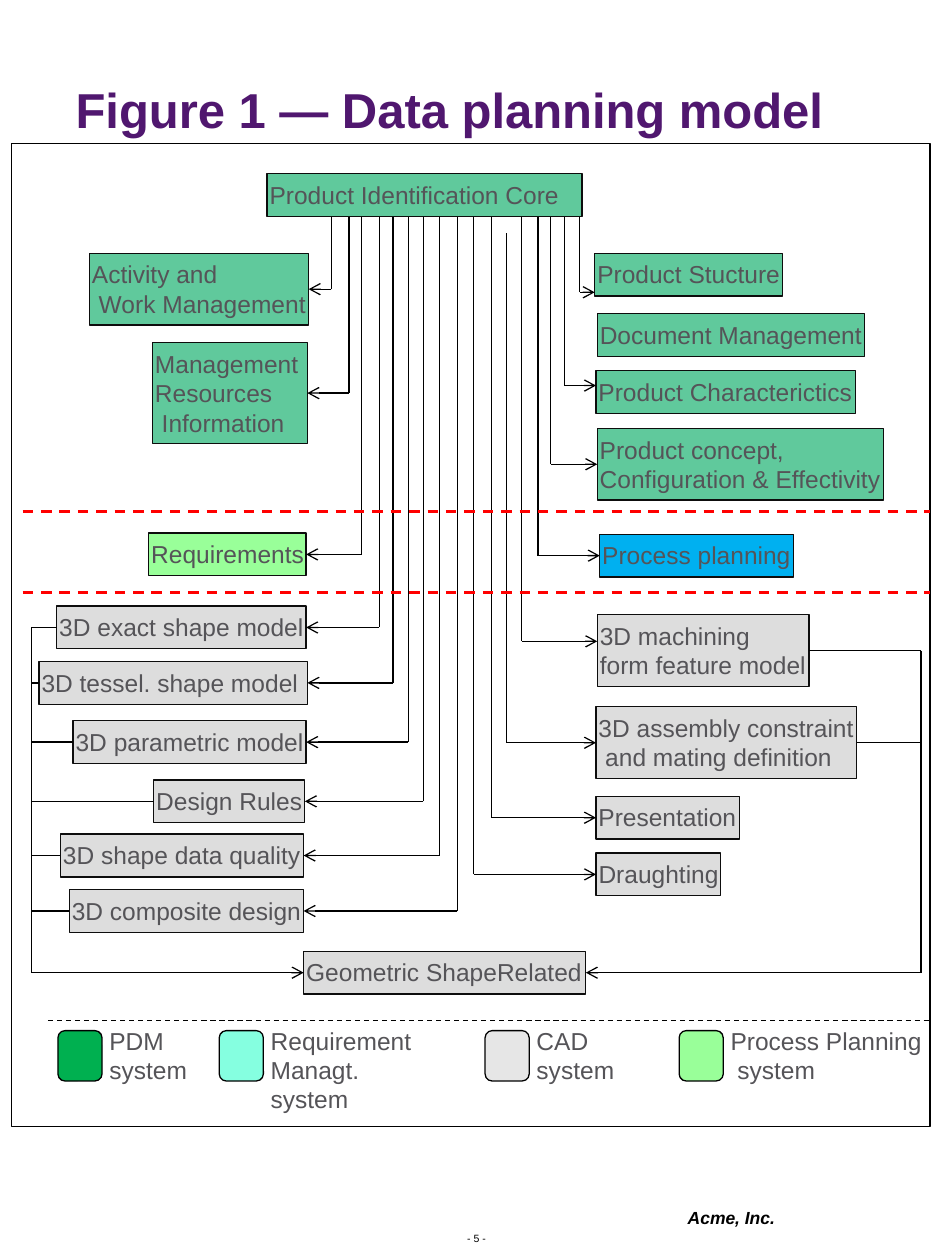
from lxml.etree import SubElement
from pptx import Presentation
from pptx.dml.color import RGBColor
from pptx.enum.dml import MSO_LINE
from pptx.enum.shapes import MSO_CONNECTOR, MSO_SHAPE
from pptx.enum.text import MSO_ANCHOR, MSO_AUTO_SIZE, PP_ALIGN
from pptx.oxml.ns import qn
from pptx.util import Inches, Pt

THEME = {
    "font": "Arial", "title": "50176F", "text": "555458", "black": "000000",
    "border": "0D0D0D", "white": "FFFFFF", "divider": "FF0000",
    "pdm": "60C99C", "requirement": "99FF99", "cad": "DDDDDD", "process": "00B0F0",
    "title_size": 28, "body_size": 14, "footer_size": 10, "number_size": 6,
    "thin": 0.75, "thick": 1.5,
}
LINE_HEIGHTS = {1: 0.34, 2: 0.57, 3: 0.8}
LEFT, RIGHT = 1, 3  # connection sites of a rectangle

TITLE = "Figure 1 — Data planning model"
FRAME = (0.09, 1.14, 7.29, 7.8)

# name: (text, colour, left, top, width)
BOXES = {
    "core": ("Product Identification Core", "pdm", 2.12, 1.38, 2.5),
    "activity": ("Activity and\n Work Management", "pdm", 0.71, 2.01, 1.74),
    "resources": ("Management \nResources\n Information", "pdm", 1.21, 2.72, 1.23),
    "requirements": ("Requirements", "requirement", 1.18, 4.23, 1.25),
    "exact": ("3D exact shape model", "cad", 0.45, 4.81, 1.98),
    "tessellated": ("3D tessel. shape model", "cad", 0.31, 5.25, 2.13),
    "parametric": ("3D parametric model", "cad", 0.58, 5.72, 1.85),
    "rules": ("Design Rules", "cad", 1.22, 6.19, 1.2),
    "quality": ("3D shape data quality", "cad", 0.48, 6.62, 1.93),
    "composite": ("3D composite design", "cad", 0.55, 7.06, 1.86),
    "structure": ("Product Stucture", "pdm", 4.72, 2.01, 1.49),
    "document": ("Document Management", "pdm", 4.74, 2.49, 2.12),
    "characteristics": ("Product Characterictics", "pdm", 4.73, 2.94, 2.06),
    "concept": ("Product concept, \nConfiguration & Effectivity", "pdm", 4.74, 3.4, 2.27),
    "process": ("Process planning", "process", 4.76, 4.24, 1.54),
    "machining": ("3D machining \nform feature model", "cad", 4.74, 4.88, 1.68),
    "assembly": ("3D assembly constraint\n and mating definition", "cad", 4.73, 5.61, 2.07),
    "presentation": ("Presentation", "cad", 4.73, 6.32, 1.14),
    "draughting": ("Draughting", "cad", 4.73, 6.77, 0.99),
    "geometric": ("Geometric ShapeRelated", "cad", 2.41, 7.55, 2.24),
}
WRAPPED = {"tessellated"}

# Where each branch leaves the core, by side of the target it enters
BRANCHES = {
    RIGHT: {"activity": 2.63, "resources": 2.77, "requirements": 2.87, "exact": 3.01,
            "tessellated": 3.12, "parametric": 3.24, "rules": 3.36, "quality": 3.49,
            "composite": 3.63},
    LEFT: {"structure": 4.6, "characteristics": 4.48, "concept": 4.37, "process": 4.27,
           "machining": 4.14, "assembly": 4.02, "presentation": 3.9, "draughting": 3.76},
}
OFF_MIDDLE = {"structure": 2.32, "characteristics": 3.06, "machining": 5.09}
LATE_START = {"assembly": 1.85}

# Rails gather the geometric models: (x, side the rail touches, members)
RAILS = [
    (0.25, LEFT, ["exact", "tessellated", "parametric", "rules", "quality", "composite"]),
    (7.31, RIGHT, ["machining", "assembly"]),
]
# (left, right, y, colour, width)
DIVIDERS = [
    (0.18, 7.38, 4.06, "divider", "thick"),
    (0.18, 7.38, 4.7, "divider", "thick"),
    (0.38, 7.38, 8.1, "black", "thin"),
]
# (left, colour, text)
LEGEND = [
    (0.46, "00B050", "PDM\nsystem"),
    (1.74, "85FFE0", "Requirement\nManagt. system"),
    (3.85, "E6E6E6", "CAD \nsystem"),
    (5.39, "99FF99", "Process Planning \n system"),
]

presentation = Presentation()
presentation.slide_width, presentation.slide_height = Inches(7.5), Inches(10)
slide = presentation.slides.add_slide(presentation.slide_layouts[5])


def colour(name):
    return RGBColor.from_string(THEME.get(name, name))


def write(shape, text, size="body_size", color="text", bold=False, italic=False,
          inset=0.1, wrap=False):
    frame = shape.text_frame
    frame.auto_size = MSO_AUTO_SIZE.NONE
    frame.word_wrap = wrap
    frame.vertical_anchor = MSO_ANCHOR.TOP
    frame.margin_left = frame.margin_right = Inches(inset)
    frame.margin_top = frame.margin_bottom = Inches(0.05)
    paragraph = frame.paragraphs[0]
    paragraph.text = text.replace("\n", "\v")
    paragraph.alignment = PP_ALIGN.LEFT
    for run in paragraph.runs:
        run.font.name, run.font.size = THEME["font"], Pt(THEME[size])
        run.font.bold, run.font.italic = bold, italic
        run.font.color.rgb = colour(color)


def add_text(text, left, top, width, height, **style):
    box = slide.shapes.add_textbox(*map(Inches, (left, top, width, height)))
    write(box, text, **style)


def add_box(place, fill, border="black", kind=MSO_SHAPE.RECTANGLE):
    shape = slide.shapes.add_shape(kind, *map(Inches, place))
    shape.shadow.inherit = False
    shape.fill.solid()
    shape.fill.fore_color.rgb = colour(fill)
    shape.line.color.rgb = colour(border)
    shape.line.width = Pt(THEME["thin"])
    return shape


def add_line(start, end, color="black", width="thin", dashed=False, arrow=False):
    line = slide.shapes.add_connector(MSO_CONNECTOR.STRAIGHT, *map(Inches, start + end))
    line.line.color.rgb = colour(color)
    line.line.width = Pt(THEME[width])
    if dashed:
        line.line.dash_style = MSO_LINE.DASH
    if arrow:
        SubElement(line.line._get_or_add_ln(), qn("a:tailEnd"), type="arrow")
    SubElement(line._element.spPr, qn("a:effectLst"))
    return line


def box_place(name):
    text, _, left, top, width = BOXES[name]
    return left, top, width, LINE_HEIGHTS[text.count("\n") + 1]


def side_point(name, side):
    left, top, width, height = box_place(name)
    return (left if side == LEFT else left + width), top + height / 2


title = slide.shapes.title
title.left, title.top, title.width, title.height = map(Inches, (0.5, 0.58, 6.44, 0.87))
write(title, TITLE, size="title_size", color="title", bold=True, wrap=True)
add_box(FRAME, "white")

shapes = {}
for name, (text, fill, *_) in BOXES.items():
    shapes[name] = add_box(box_place(name), fill, "border")
    write(shapes[name], text, inset=0.02, wrap=name in WRAPPED)

_, core_top, _, core_height = box_place("core")
for side, branches in BRANCHES.items():
    for name, x in branches.items():
        edge, middle = side_point(name, side)
        y = OFF_MIDDLE.get(name, middle)
        add_line((x, LATE_START.get(name, core_top + core_height)), (x, y))
        arrow = add_line((x, y), (edge, y), arrow=True)
        if name not in OFF_MIDDLE:
            arrow.end_connect(shapes[name], side)

for x, side, members in RAILS:
    for name in members:
        edge, y = side_point(name, side)
        add_line((x, y), (edge, y)).end_connect(shapes[name], side)
    edge, bottom = side_point("geometric", side)
    add_line((x, side_point(members[0], side)[1]), (x, bottom))
    add_line((x, bottom), (edge, bottom), arrow=True).end_connect(shapes["geometric"], side)

for left, right, y, color, width in DIVIDERS:
    add_line((left, y), (right, y), color=color, width=width, dashed=True)

for left, fill, text in LEGEND:
    key = add_box((left, 8.18, 0.35, 0.4), fill, kind=MSO_SHAPE.ROUNDED_RECTANGLE)
    key.adjustments[0] = 0.16
    add_text(text, left + 0.31, 8.09, 1.77 if "Process" in text else 1.57, 0.57, wrap=True)

add_text("Acme, Inc.", 5.36, 9.53, 0.89, 0.27, size="footer_size", color="black",
         bold=True, italic=True)
add_text("- 5 -", 3.61, 9.73, 0.37, 0.3, size="number_size", color="black")

presentation.save("out.pptx")
